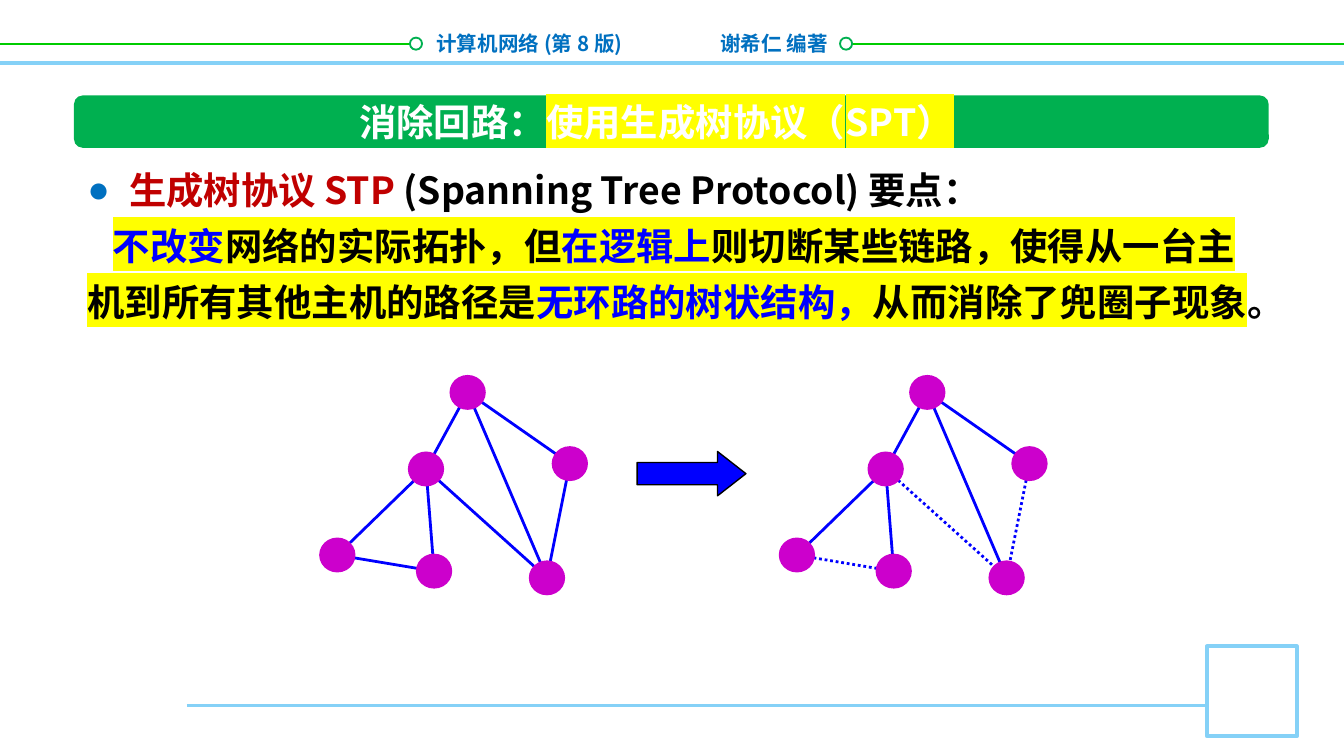
from dataclasses import dataclass
from lxml.etree import SubElement
from pptx import Presentation
from pptx.dml.color import RGBColor
from pptx.enum.dml import MSO_LINE
from pptx.enum.shapes import MSO_CONNECTOR, MSO_SHAPE
from pptx.enum.text import MSO_ANCHOR, MSO_AUTO_SIZE, PP_ALIGN
from pptx.oxml import parse_xml
from pptx.oxml.ns import nsdecls, qn
from pptx.util import Inches, Pt


@dataclass(frozen=True)
class Theme:
    font: str = "Noto Sans CJK SC"
    small: int = 11
    large: int = 20
    pitch: int = 30
    white: str = "FFFFFF"
    black: str = "000000"
    sky: str = "85D1F7"
    lime: str = "00CC00"
    green: str = "00B050"
    azure: str = "0070C0"
    red: str = "C00000"
    blue: str = "0000FF"
    plum: str = "CC00CC"
    yellow: str = "FFFF00"


class Deck:
    cell = Inches(0.1)

    def __init__(self, theme):
        self.theme = theme
        self.file = Presentation()
        self.file.slide_width = self.size(100)
        self.file.slide_height = self.size(56.25)
        self.slide = self.file.slides.add_slide(self.file.slide_layouts[1])

    def size(self, count):
        return int(count * self.cell)

    def sizes(self, box):
        return [self.size(count) for count in box]

    def line(self, start, end, color, width, dash=None, host=None):
        shapes = (host or self.slide).shapes
        line = shapes.add_connector(MSO_CONNECTOR.STRAIGHT, *self.sizes(start + end))
        line.line.color.rgb = RGBColor.from_string(color)
        line.line.width = Pt(width)
        if dash:
            line.line.dash_style = dash
        SubElement(line.element.spPr, qn("a:effectLst"))

    def shape(self, kind, box, fill, edge=None, width=1, adjust=(), host=None):
        shapes = (host or self.slide).shapes
        shape = shapes.add_shape(kind, *self.sizes(box))
        shape.shadow.inherit = False
        shape.fill.solid()
        shape.fill.fore_color.rgb = RGBColor.from_string(fill)
        for place, value in enumerate(adjust):
            shape.adjustments[place] = value
        if edge:
            shape.line.color.rgb = RGBColor.from_string(edge)
            shape.line.width = Pt(width)
        else:
            shape.line.fill.background()

    def run(self, para, text, size, color, mark=None):
        run = para.add_run()
        run.text = text
        font = run.font
        font.size, font.bold, font.name = Pt(size), True, self.theme.font
        font.color.rgb = RGBColor.from_string(color)
        latin = run._r.get_or_add_rPr().find(qn("a:latin"))
        latin.addnext(parse_xml(f'<a:ea {nsdecls("a")} typeface="{self.theme.font}"/>'))
        if mark:
            latin.addprevious(parse_xml(
                f'<a:highlight {nsdecls("a")}><a:srgbClr val="{mark}"/></a:highlight>'))

    def frame(self, shape, box, wrap=True):
        shape.left, shape.top, shape.width, shape.height = self.sizes(box)
        frame = shape.text_frame
        frame.auto_size = MSO_AUTO_SIZE.NONE
        frame.word_wrap = wrap
        frame.vertical_anchor = MSO_ANCHOR.TOP
        return frame

    def label(self, box, text, align):
        shape = self.slide.shapes.add_textbox(*self.sizes(box))
        para = self.frame(shape, box).paragraphs[0]
        para.alignment = align
        self.run(para, text, self.theme.small, self.theme.azure)

    def title(self, box, runs):
        title = self.slide.shapes.title
        self.slide.shapes.element.append(title.element)
        para = self.frame(title, box, wrap=False).paragraphs[0]
        para.alignment = PP_ALIGN.CENTER
        for text, *style in runs:
            self.run(para, text, self.theme.large, *style)

    def body(self, box, items):
        frame = self.frame(self.slide.placeholders[1], box)
        for place, (margin, indent, bullet, runs) in enumerate(items):
            para = frame.add_paragraph() if place else frame.paragraphs[0]
            props = para._p.get_or_add_pPr()
            props.set("marL", str(self.size(margin)))
            props.set("indent", str(self.size(indent)))
            if bullet:
                color = SubElement(props, qn("a:buClr"))
                SubElement(color, qn("a:srgbClr"), val=self.theme.azure)
                SubElement(props, qn("a:buChar"), char=bullet)
            else:
                SubElement(props, qn("a:buNone"))
            para.alignment = PP_ALIGN.LEFT
            para.line_spacing = Pt(self.theme.pitch)
            para.space_before = para.space_after = Pt(0)
            for text, *style in runs:
                self.run(para, text, self.theme.large, *style)

    def graph(self, shift, nodes, links, cut=()):
        group = self.slide.shapes.add_group_shape()
        spots = {name: (x + shift, y) for name, (x, y) in nodes.items()}
        for link in links:
            start, end = link
            dash = MSO_LINE.ROUND_DOT if link in cut else None
            self.line(spots[start], spots[end], self.theme.blue, 1.5, dash, group)
        for x, y in spots.values():
            self.shape(MSO_SHAPE.OVAL, (x - 1.35, y - 1.3, 2.7, 2.6),
                       self.theme.plum, host=group)


def main():
    theme = Theme()
    deck = Deck(theme)

    deck.line((0, 4.7), (100, 4.7), theme.sky, 2)
    deck.label((52.6, 1.8, 11.6, 2.9), "谢希仁 编著", PP_ALIGN.LEFT)
    deck.label((31, 1.8, 16.3, 2.9), "计算机网络 (第 8 版)", PP_ALIGN.RIGHT)
    for start, end, ring in ((0, 31, 30.5), (62.5, 100, 62.5)):
        deck.line((start, 3.3), (end, 3.3), theme.lime, 1)
        deck.shape(MSO_SHAPE.OVAL, (ring, 2.8, 0.9, 0.9), theme.white, theme.green)
    deck.line((13.9, 52.5), (89.8, 52.5), theme.sky, 1.5)
    deck.shape(MSO_SHAPE.RECTANGLE, (89.8, 48.1, 6.7, 6.7), theme.white, theme.sky, 2)

    deck.shape(MSO_SHAPE.ROUNDED_RECTANGLE, (5.5, 7.1, 88.9, 3.9), theme.green,
               adjust=(0.17,))
    deck.title((24.7, 6.9, 48.3, 4.4), (
        ("消除回路：", theme.white),
        ("使用生成树协议（SPT）", theme.white, theme.yellow)))
    deck.body((5.5, 11.1, 88.5, 13.6), (
        (3.1, -3.1, "●", (
            ("生成树协议 STP ", theme.red),
            ("(Spanning Tree Protocol) 要点：", theme.black))),
        (0, 1.9, None, (
            ("不改变", theme.blue, theme.yellow),
            ("网络的实际拓扑，但", theme.black, theme.yellow),
            ("在逻辑上", theme.blue, theme.yellow),
            ("则切断某些链路，使得从一台主机到所有其他主机的路径是",
             theme.black, theme.yellow),
            ("无环路的树状结构，", theme.blue, theme.yellow),
            ("从而消除了兜圈子现象", theme.black, theme.yellow),
            ("。", theme.black)))))

    nodes = {"top": (34.8, 29.2), "right": (42.4, 34.5), "low": (40.7, 43),
             "left": (25.1, 41.3), "mid": (32.3, 42.5), "hub": (31.7, 34.9)}
    cut = (("hub", "low"), ("right", "low"), ("mid", "left"))
    links = (("top", "hub"), ("top", "right"), ("top", "low"),
             ("left", "hub"), ("mid", "hub")) + cut
    deck.shape(MSO_SHAPE.RIGHT_ARROW, (47.4, 33.6, 8.1, 3.3), theme.blue,
               theme.black, 0.75, (0.5, 0.64))
    deck.graph(0, nodes, links)
    deck.graph(34.2, nodes, links, cut)

    deck.file.save("out.pptx")


if __name__ == "__main__":
    main()
